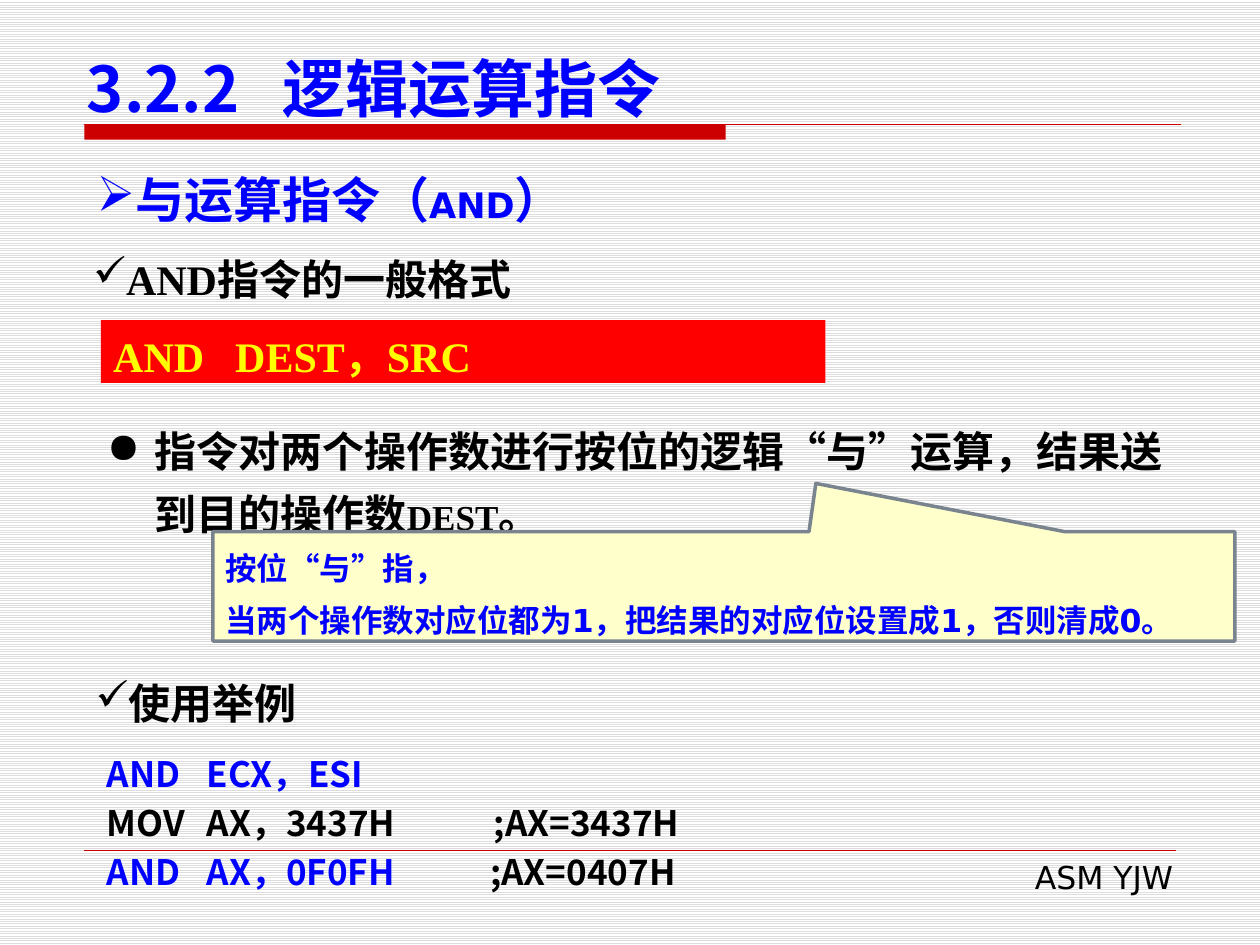
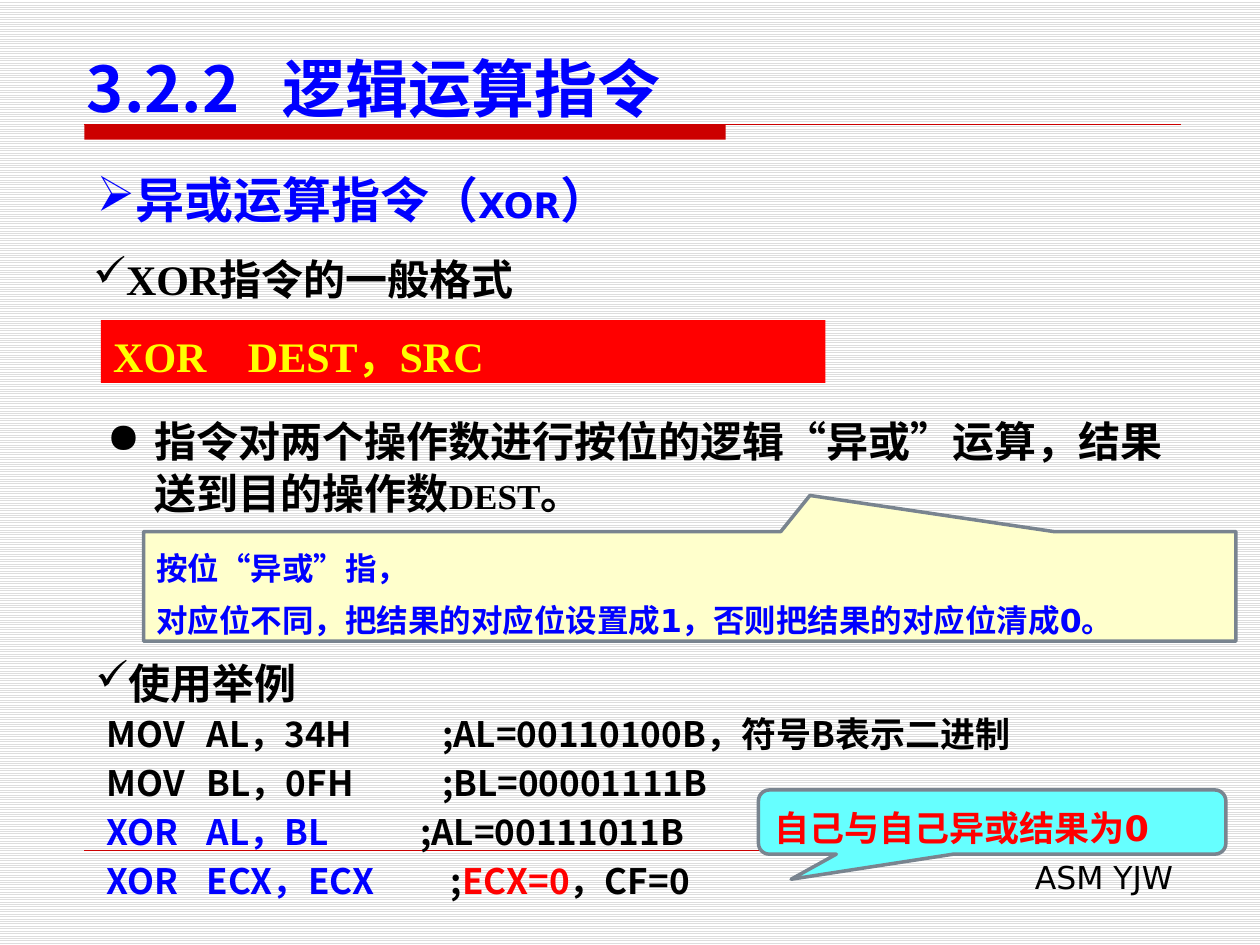
from lxml import etree
from pptx import Presentation
from pptx.dml.color import RGBColor
from pptx.enum import dml, shapes, text
from pptx.oxml.ns import qn
from pptx.util import Pt

HUES = {"blue": "0000FF", "black": "000000", "red": "FF0000", "band": "CC0000",
        "yellow": "FFFF00", "cream": "FFFFCC", "aqua": "66FFFF", "edge": "79848F",
        "stripe": "DDDDDD", "white": "FFFFFF"}
CJK, SANS, SERIF = "Noto Sans CJK SC", "DejaVu Sans", "Times New Roman"
KIND = shapes.MSO_SHAPE
ALIGN = text.PP_ALIGN
ANCHOR = text.MSO_ANCHOR


def hue(name):
    return RGBColor.from_string(HUES[name])


def child(node, tag, **attrs):
    return etree.SubElement(node, qn(tag), attrs)


def write(shape, lines, size=24, font=SERIF, color="black", bold=True, align=ALIGN.LEFT,
          anchor=ANCHOR.TOP, lead=None, bullet=None, hang=0, tabs=(), top=3.6, right=7.2,
          base=3.6):
    """Fill a shape; a line is a string or a list of (text, color, size) runs.

    tabs holds one tuple of stops for each line.
    """
    frame = shape.text_frame
    frame.word_wrap = True
    frame.auto_size = text.MSO_AUTO_SIZE.NONE
    frame.vertical_anchor = anchor
    frame.margin_left, frame.margin_right = Pt(7.2), Pt(right)
    frame.margin_top, frame.margin_bottom = Pt(top), Pt(base)
    for n, line in enumerate(lines):
        para = frame.paragraphs[0] if n == 0 else frame.add_paragraph()
        para.alignment = align
        para.space_before = Pt(0)
        if lead:
            para.line_spacing = Pt(lead)
        props = para._p.get_or_add_pPr()
        if bullet:
            props.set("marL", str(Pt(hang)))
            props.set("indent", str(-Pt(hang)))
            child(props, "a:buChar", char=bullet)
        if tabs:
            stops = child(props, "a:tabLst")
            for stop in tabs[n]:
                child(stops, "a:tab", pos=str(Pt(stop)), algn="l")
        for words, tint, pts in [(line, color, size)] if isinstance(line, str) else line:
            run = para.add_run()
            run.text = words
            face = run.font
            face.size, face.bold, face.name = Pt(pts or size), bold, font
            face.color.rgb = hue(tint or color)
            child(run._r.get_or_add_rPr(), "a:ea", typeface=CJK)


def label(slide, box, lines, **form):
    write(slide.shapes.add_textbox(*map(Pt, box)), lines, **form)


def block(slide, kind, box, fill, edge=None, adjust=()):
    shape = slide.shapes.add_shape(kind, *map(Pt, box))
    shape.shadow.inherit = False
    shape.fill.solid()
    shape.fill.fore_color.rgb = hue(fill)
    if edge:
        shape.line.color.rgb = hue(edge)
        shape.line.width = Pt(2)
    else:
        shape.line.fill.background()
    for n, value in enumerate(adjust):
        shape.adjustments[n] = value
    return shape


def rule(slide, left, right, y, width):
    line = slide.shapes.add_connector(
        shapes.MSO_CONNECTOR.STRAIGHT, Pt(left), Pt(y), Pt(right), Pt(y))
    line.line.color.rgb = hue("band")
    line.line.width = Pt(width)
    child(line._element.spPr, "a:effectLst")


def header(slide, box):
    """Title with a band and a thin rule under it."""
    left, top, wide, high = box
    x, y = left + 5.7, top + high - 0.7
    block(slide, KIND.RECTANGLE, (x, y, 366.5, 8.6), "band")
    rule(slide, x, x + 626.4, y, 0.75)
    title = slide.shapes.title
    title.left, title.top, title.width, title.height = map(Pt, box)
    write(title, ["3.2.2\t逻辑运算指令"], size=36, font=CJK, color="blue",
          anchor=ANCHOR.BOTTOM, tabs=[(111.5,)], base=0.5)


def footer(slide, box):
    left, top, wide, high = box
    rule(slide, 48.2, left + wide - 5.5, top + 0.7, 0.25)
    label(slide, box, ["ASM YJW"], size=18, font=SANS, bold=False,
          align=ALIGN.RIGHT, lead=23)


def format_part(slide, box, name, topic, gap):
    """Topic heading, format heading and the red syntax bar."""
    left, top, wide, high = box
    label(slide, (left, top, wide, 41),
          [[(topic + "（", None, None), (name, None, 20), ("）", None, None)]],
          size=28, font=SANS, color="blue", align=ALIGN.JUSTIFY, lead=35, bullet="➢")
    label(slide, (left - 2.1, top + 46.8, 527.8, 36), [name + "指令的一般格式"],
          lead=31, bullet="✓")
    bar = block(slide, KIND.RECTANGLE, (left + 9.4, top + high - 36, 414, 36), "red")
    write(bar, [name + "\tDEST，SRC"], color="yellow", lead=31, tabs=[(gap,)])


def meaning(slide, box, verb, lead):
    label(slide, box,
          [[(f"指令对两个操作数进行按位的逻辑“{verb}”运算，结果送到目的操作数", None, None),
            ("DEST", None, 20), ("。", None, None)]],
          lead=lead, bullet="●", hang=27.4, top=5.6)


def sample(slide, box, drop, lines, stops):
    """Heading, then code lines starting drop points lower."""
    left, top, wide, high = box
    label(slide, (left, top, wide, 36), ["使用举例"], lead=31, bullet="✓")
    label(slide, (left + 6.5, top + drop, 563, high - drop), lines, size=20, font=CJK,
          lead=28, tabs=[(57, stop) for stop in stops], top=2)


def callout(slide, kind, box, fill, adjust, lines, **form):
    shape = block(slide, kind, box, fill, "edge", adjust)
    write(shape, lines, font=SANS, anchor=ANCHOR.MIDDLE, lead=30, right=0, **form)


def code(start, note=""):
    """A highlighted instruction with a black remark."""
    return [(start, "blue", None)] + ([("\t" + note, "black", None)] if note else [])


def frame_slide(deck, name, topic, gap):
    """A slide with everything that both slides share."""
    slide = deck.slides.add_slide(deck.slide_layouts[5])
    header(slide, (42.5, 20.9, 652.3, 51.1))
    footer(slide, (275, 485.3, 402.5, 28.8))
    format_part(slide, (48.2, 92.2, 623.5, 126.7), name, topic, gap)
    return slide


def and_slide(deck):
    slide = frame_slide(deck, "AND", "与运算指令", 69.7)
    meaning(slide, (54, 230.4, 617.8, 79.9), "与", 36)
    sample(slide, (47.5, 381.6, 624, 132.5), 42.5, [
        code("AND\tECX，ESI"),
        "MOV\tAX，3437H\t;AX=3437H",
        code("AND\tAX，0F0FH", ";AX=0407H"),
    ], (221, 221, 219))
    callout(slide, KIND.RECTANGULAR_CALLOUT, (121.7, 303.8, 583.9, 62.6), "cream",
            (0.09, -0.94),
            ["按位“与”指，", "当两个操作数对应位都为1，把结果的对应位设置成1，否则清成0。"],
            size=18, color="blue")


def xor_slide(deck):
    slide = frame_slide(deck, "XOR", "异或运算指令", 77)
    meaning(slide, (54, 230.4, 617.8, 67.7), "异或", 30)
    sample(slide, (47.5, 370.1, 306.7, 149.7), 30.9, [
        "MOV\tAL，34H\t;AL=00110100B，符号B表示二进制",
        "MOV\tBL，0FH\t;BL=00001111B",
        code("XOR\tAL，BL", ";AL=00111011B"),
        code("XOR\tECX，ECX", ";") + [("ECX=0", "red", None), ("，CF=0", "black", None)],
    ], (191.5, 191.5, 179, 196.5))
    callout(slide, KIND.ROUNDED_RECTANGULAR_CALLOUT, (433.4, 451.4, 267.1, 36.7), "aqua",
            (-0.43, 0.89, 0.17), ["自己与自己异或结果为0"], size=20, color="red")
    callout(slide, KIND.RECTANGULAR_CALLOUT, (82.1, 303.8, 624.2, 62.6), "cream",
            (0.11, -0.83),
            ["按位“异或”指，", "对应位不同，把结果的对应位设置成1，否则把结果的对应位清成0。"],
            size=18, color="blue")


def main():
    deck = Presentation()
    deck.slide_width, deck.slide_height = Pt(720), Pt(540)
    # Striped background for every slide
    paper = deck.slide_master.background.fill
    paper.patterned()
    paper.pattern = dml.MSO_PATTERN.LIGHT_HORIZONTAL
    paper.fore_color.rgb, paper.back_color.rgb = hue("stripe"), hue("white")
    and_slide(deck)
    xor_slide(deck)
    deck.save("out.pptx")


if __name__ == "__main__":
    main()
